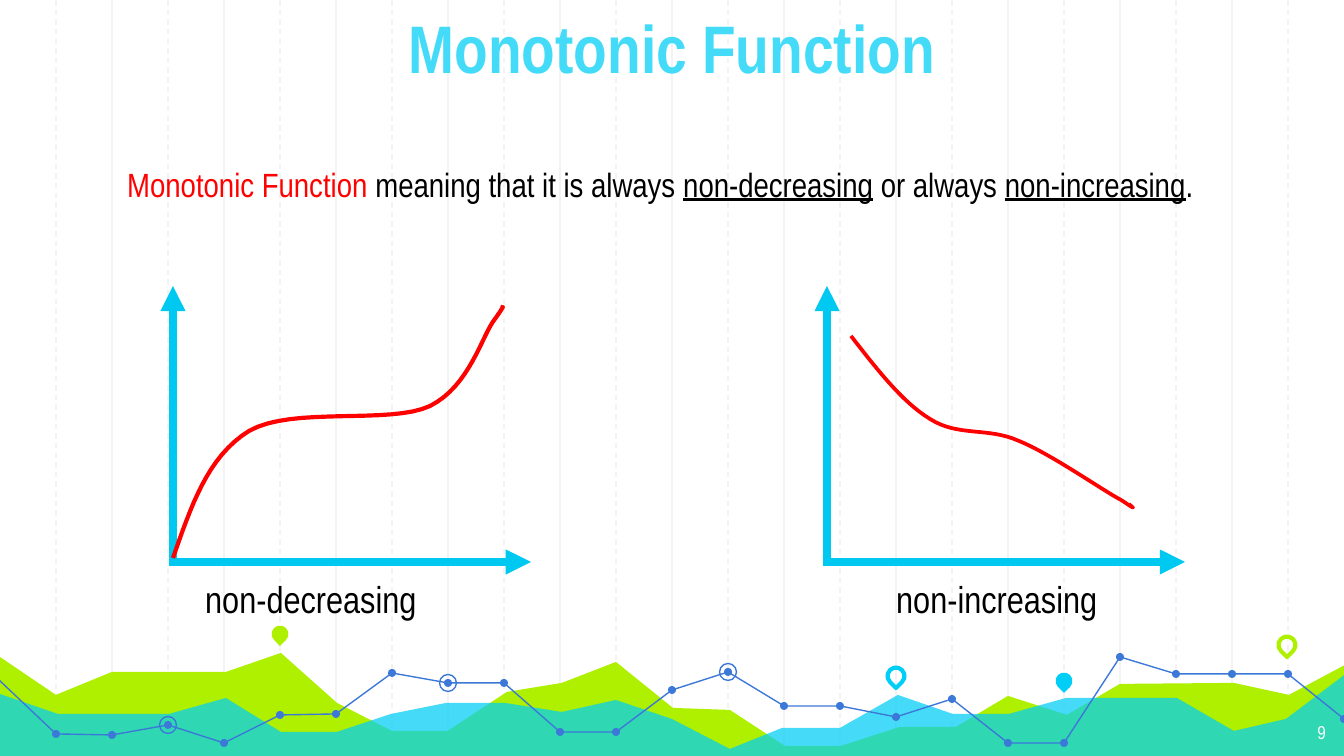
"""Build a slide that defines monotonic functions with two sketched graphs."""
from dataclasses import dataclass
from itertools import chain

from pptx import Presentation
from pptx.dml.color import RGBColor
from pptx.enum.dml import MSO_LINE
from pptx.enum.shapes import MSO_CONNECTOR, MSO_SHAPE
from pptx.enum.text import MSO_AUTO_SIZE, PP_ALIGN
from pptx.oxml.ns import qn
from pptx.util import Emu, Pt
from lxml.etree import SubElement


@dataclass(frozen=True)
class Theme:
    font: str = "Arial Narrow"
    grid: str = "F3F3F3"
    lime: str = "AFF000"
    cyan: str = "00CEF6"
    blue: str = "3C78D8"
    axis: str = "00C9F1"
    red: str = "FF0000"
    heading: str = "44DBF8"
    black: str = "000000"
    white: str = "FFFFFF"
    title_size: int = 36
    caption_size: int = 20
    body_size: int = 18
    number_size: int = 10


def px(*values):
    return [Emu(round(v * 914400 / 134.4)) for v in values]


def paint(s, fill, line, width):
    s.shadow.inherit = False
    if fill:
        s.fill.solid()
        s.fill.fore_color.rgb = RGBColor.from_string(fill)
    else:
        s.fill.background()
    if line:
        s.line.color.rgb = RGBColor.from_string(line)
        s.line.width = Pt(width)
    else:
        s.line.fill.background()


theme = Theme()
W, H, STEP = 1344, 756, 56
prs = Presentation()
prs.slide_width, prs.slide_height = px(W, H)
slide = prs.slides.add_slide(prs.slide_layouts[6])
shapes = slide.shapes

lines = [((k * STEP, 0, k * STEP, H), theme.grid, 0.75, k % 2 == 1, False)
         for k in chain(range(2, 24, 2), range(1, 24, 2))]
for left in (173, 827):
    lines += [((left - 1, 562, left + 358, 562), theme.axis, 4.5, False, True),
              ((left, 566, left, 286), theme.axis, 4.5, False, True)]
for ends, color, width, dashed, arrow in lines:
    s = shapes.add_connector(MSO_CONNECTOR.STRAIGHT, *px(*ends))
    s.line.color.rgb = RGBColor.from_string(color)
    s.line.width = Pt(width)
    if dashed:
        s.line.dash_style = MSO_LINE.DASH
    if arrow:
        SubElement(s.line._get_or_add_ln(), qn("a:tailEnd"), type="triangle")
    SubElement(s._element.spPr, qn("a:effectLst"))

lime_area = [(-3, 655), (56, 695), (112, 672), (226, 672), (281, 653), (337, 703),
             (392, 731), (448, 731), (507, 692), (562, 683), (616, 662), (673, 708),
             (730, 710), (785, 746), (841, 746), (900, 727), (956, 727), (1008, 696),
             (1067, 715), (1120, 684), (1234, 683), (1289, 695), (1347, 664),
             (1346, 758), (-4, 758)]
cyan_area = [(-3, 693), (58, 714), (169, 714), (226, 698), (281, 732), (337, 732),
             (391, 714), (446, 703), (505, 703), (562, 712), (616, 700), (672, 719),
             (730, 749), (782, 728), (840, 728), (898, 695), (953, 714), (1009, 714),
             (1066, 698), (1177, 698), (1234, 731), (1286, 719), (1347, 673),
             (1347, 759), (-4, 759)]
heights = [734, 735, 725, 743, 715, 714, 673, 683, 683, 732, 732, 690,
           672, 706, 706, 717, 699, 743, 743, 657, 674, 674, 674, 719]
dots = [(k * STEP, y) for k, y in enumerate(heights, 1)]
trend = [(-1, 680)] + dots

rising = [(173, 558), (191, 507), (207, 457), (249, 431), (292, 406), (390, 425),
          (430, 406), (470, 386), (482, 335), (495, 319), (507, 302), (501, 309),
          (503, 306)]
falling = [(851, 336), (876, 368), (902, 402), (930, 419), (958, 437), (988, 427),
           (1019, 441), (1051, 454), (1102, 490), (1121, 500), (1138, 511),
           (1133, 508), (1129, 504)]
curves = []
for controls in (rising, falling):
    curve = [controls[0]]
    for i in range(0, len(controls) - 1, 3):
        for t in [n / 16 for n in range(1, 17)]:
            weights = ((1 - t) ** 3, 3 * t * (1 - t) ** 2, 3 * t * t * (1 - t), t ** 3)
            curve.append([sum(w * c[axis] for w, c in zip(weights, controls[i:i + 4]))
                          for axis in (0, 1)])
    curves.append(curve)

outlines = [(lime_area, True, theme.lime, None, 0, None),
            (cyan_area, True, theme.cyan, None, 0, 73)]
outlines += [(part, False, None, theme.blue, 0.75, None)
             for part in (trend[:12], trend[11:21], trend[20:])]
outlines += [(curve, False, None, theme.red, width, None)
             for curve, width in zip(curves, (2.25, 2))]
for points, closed, fill, line, width, opacity in outlines:
    points = [px(*point) for point in points]
    builder = shapes.build_freeform(*points[0])
    builder.add_line_segments(points[1:], close=closed)
    s = builder.convert_to_shape()
    paint(s, fill, line, width)
    if opacity:
        color = s._element.spPr.find(qn("a:solidFill"))[0]
        SubElement(color, qn("a:alpha"), val=str(opacity * 1000))

marks = [(MSO_SHAPE.TEAR, x, y, 17, fill, line, 2.25)
         for x, y, fill, line in ((280, 634, theme.lime, None),
                                  (896, 676, None, theme.cyan),
                                  (1064, 681, theme.cyan, None),
                                  (1287, 645, None, theme.lime))]
marks += [(MSO_SHAPE.OVAL, x, y, 8, theme.blue, None, 0) for x, y in dots]
marks += [(MSO_SHAPE.OVAL, *dots[k], 17, None, theme.blue, 0.75) for k in (7, 2, 12)]
for kind, x, y, size, fill, line, width in marks:
    s = shapes.add_shape(kind, *px(x - size / 2, y - size / 2, size, size))
    paint(s, fill, line, width)
    if kind == MSO_SHAPE.TEAR:
        s.rotation = 135

texts = [
    ((1258, 710, 81, 47), PP_ALIGN.RIGHT, theme.number_size, False,
     [("9", theme.white, False)]),
    ((0, 0, W, 95), PP_ALIGN.CENTER, theme.title_size, True,
     [("Monotonic Function", theme.heading, False)]),
    ((114, 157, 1129, 54), PP_ALIGN.LEFT, theme.body_size, False,
     [("Monotonic Function ", theme.red, False),
      ("meaning that it is always ", theme.black, False),
      ("non-decreasing", theme.black, True),
      (" or always ", theme.black, False),
      ("non-increasing", theme.black, True),
      (".", theme.black, False)]),
    ((192, 570, 679, 59), PP_ALIGN.LEFT, theme.caption_size, False,
     [("non-decreasing", theme.black, False)]),
    ((883, 570, 360, 59), PP_ALIGN.LEFT, theme.caption_size, False,
     [("non-increasing", theme.black, False)]),
]
for box, align, size, bold, runs in texts:
    tf = shapes.add_textbox(*px(*box)).text_frame
    tf.word_wrap = True
    if size == theme.number_size:
        tf.margin_top, tf.margin_bottom = px(13, 13)
    else:
        tf.auto_size = MSO_AUTO_SIZE.SHAPE_TO_FIT_TEXT
    p = tf.paragraphs[0]
    p.alignment = align
    for text, color, underlined in runs:
        r = p.add_run()
        r.text = text
        r.font.name = theme.font
        r.font.size = Pt(size)
        r.font.bold = bold
        r.font.underline = underlined
        r.font.color.rgb = RGBColor.from_string(color)

prs.save("out.pptx")
